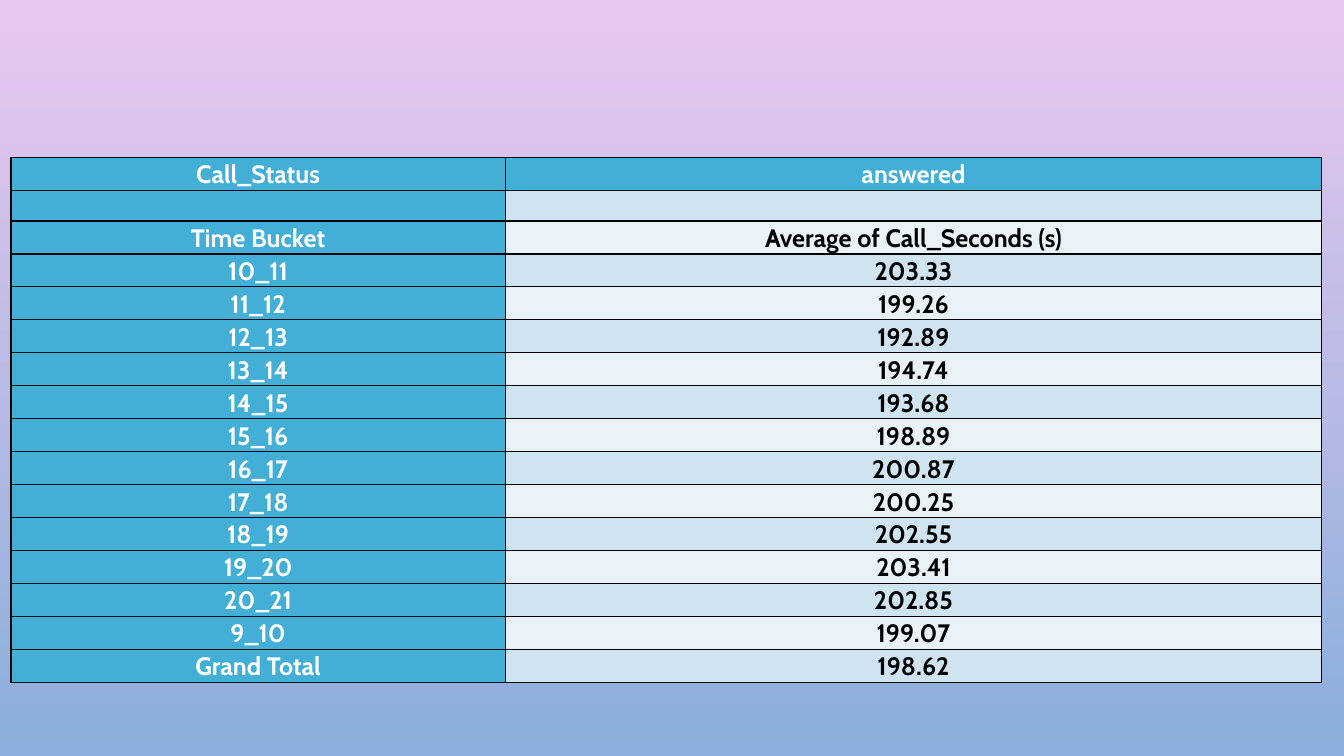
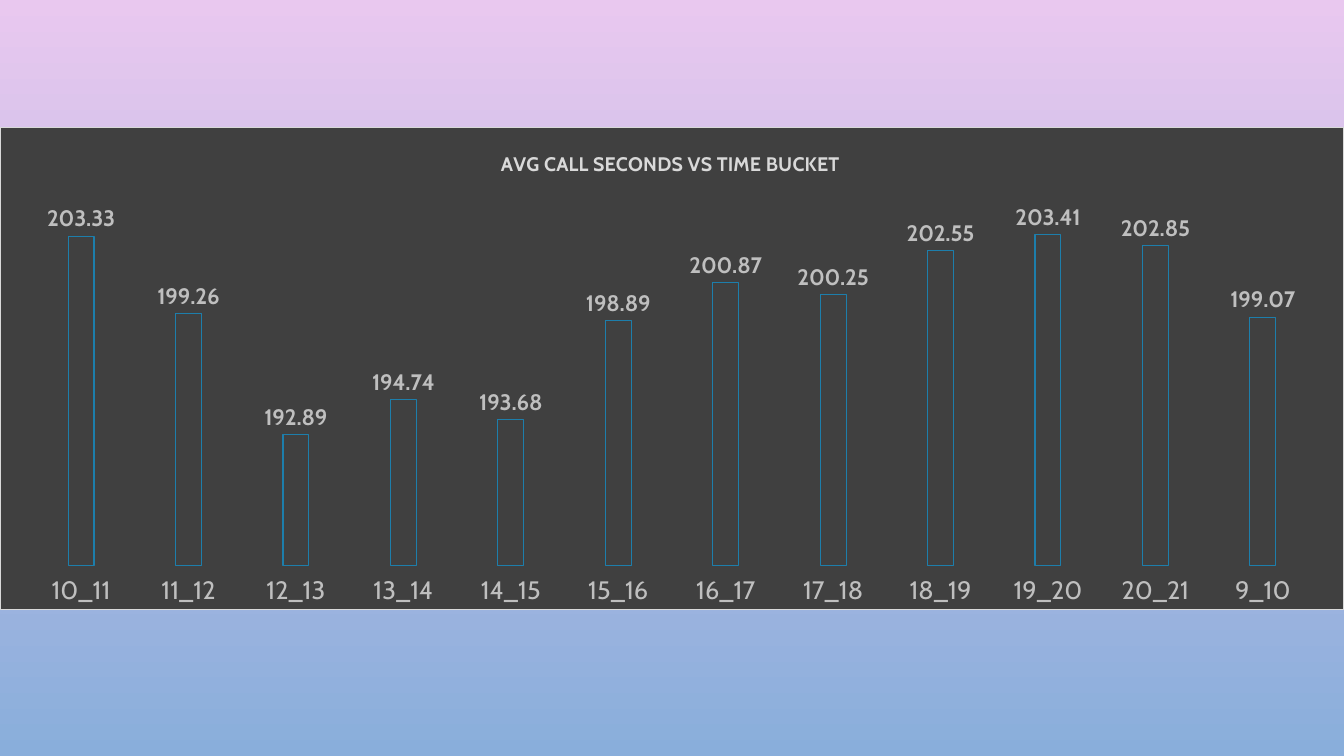
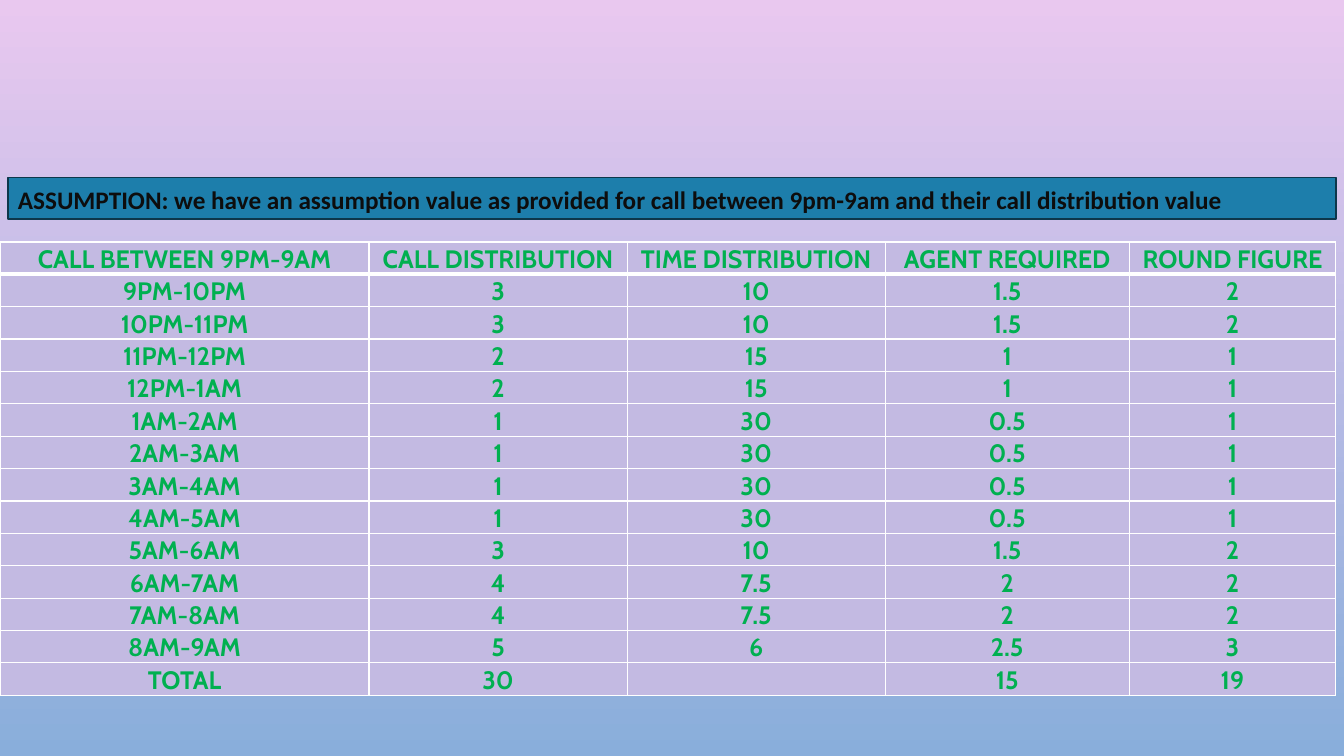
from dataclasses import dataclass

from pptx import Presentation
from pptx.chart.data import CategoryChartData
from pptx.dml.color import RGBColor
from pptx.enum.chart import XL_CHART_TYPE, XL_LABEL_POSITION, XL_TICK_LABEL_POSITION, XL_TICK_MARK
from pptx.enum.shapes import MSO_SHAPE
from pptx.enum.text import MSO_ANCHOR, MSO_AUTO_SIZE, PP_ALIGN
from pptx.oxml import parse_xml
from pptx.oxml.ns import nsdecls
from pptx.util import Inches, Pt

BUCKETS = [
    ("10_11", 203.33), ("11_12", 199.26), ("12_13", 192.89), ("13_14", 194.74),
    ("14_15", 193.68), ("15_16", 198.89), ("16_17", 200.87), ("17_18", 200.25),
    ("18_19", 202.55), ("19_20", 203.41), ("20_21", 202.85), ("9_10", 199.07),
]
AVERAGES = [
    ("Call_Status", "answered"),
    ("", ""),
    ("Time Bucket", "Average of Call_Seconds (s)"),
    *[(bucket, f"{seconds:.2f}") for bucket, seconds in BUCKETS],
    ("Grand Total", "198.62"),
]
CHART_TITLE = "AVG CALL SECONDS VS TIME BUCKET"
ASSUMPTION = (
    "ASSUMPTION: we have an assumption value as provided for call between "
    "9pm-9am and their call distribution value"
)
NIGHT_CALLS = [
    ("CALL BETWEEN 9PM-9AM", "CALL DISTRIBUTION", "TIME DISTRIBUTION", "AGENT REQUIRED", "ROUND FIGURE"),
    ("9PM-10PM", "3", "10", "1.5", "2"),
    ("10PM-11PM", "3", "10", "1.5", "2"),
    ("11PM-12PM", "2", "15", "1", "1"),
    ("12PM-1AM", "2", "15", "1", "1"),
    ("1AM-2AM", "1", "30", "0.5", "1"),
    ("2AM-3AM", "1", "30", "0.5", "1"),
    ("3AM-4AM", "1", "30", "0.5", "1"),
    ("4AM-5AM", "1", "30", "0.5", "1"),
    ("5AM-6AM", "3", "10", "1.5", "2"),
    ("6AM-7AM", "4", "7.5", "2", "2"),
    ("7AM-8AM", "4", "7.5", "2", "2"),
    ("8AM-9AM", "5", "6", "2.5", "3"),
    ("TOTAL", "30", "", "15", "19"),
]


@dataclass(frozen=True)
class Theme:
    sky: str = "E9C8EF"
    ground: str = "89AEDB"
    header: str = "43AFD6"
    band_dark: str = "CFE3F0"
    band_light: str = "E9F2F7"
    lilac: str = "C3BAE2"
    green: str = "00B050"
    blue: str = "1D7EAB"
    navy: str = "0D374B"
    panel: str = "404040"
    label: str = "BFBFBF"
    pale: str = "D9D9D9"
    ink: str = "0D0D0D"
    black: str = "000000"
    white: str = "FFFFFF"
    font: str = "Cabin"
    note_font: str = "Calibri"
    body: int = 18
    value: int = 16
    title: int = 14
    small: int = 10


T = Theme()


def rgb(color):
    return RGBColor.from_string(color)


def set_font(font, size, color, name=T.font, bold=False):
    font.size, font.name, font.bold = Pt(size), name, bold
    font.color.rgb = rgb(color)


def write(tf, text, color, name=T.font, align=PP_ALIGN.CENTER):
    p = tf.paragraphs[0]
    p.alignment = align
    p.line_spacing = 1.07
    p.space_after = Pt(8)
    r = p.add_run()
    r.text = text
    set_font(r.font, T.body, color, name, True)


def set_borders(cell, color, top=1, bottom=1):
    tc_pr = cell._tc.get_or_add_tcPr()
    for i, (side, width) in enumerate((("L", 1), ("R", 1), ("T", top), ("B", bottom))):
        tc_pr.insert(i, parse_xml(
            f'<a:ln{side} {nsdecls("a")} w="{Pt(width)}"><a:solidFill>'
            f'<a:srgbClr val="{color}"/></a:solidFill></a:ln{side}>'))


def add_grid(s, rows, left, top, widths, row_height, style, border, rule=1):
    table = s.shapes.add_table(
        len(rows), len(widths), Inches(left), Inches(top),
        Inches(sum(widths)), Inches(row_height * len(rows))).table
    table.first_row = table.horz_banding = False
    for column, width in zip(table.columns, widths):
        column.width = Inches(width)
    for i, row in enumerate(rows):
        for j, text in enumerate(row):
            cell = table.cell(i, j)
            fill, color = style(i, j)
            cell.fill.solid()
            cell.fill.fore_color.rgb = rgb(fill)
            set_borders(cell, border, rule if i == 1 else 1, rule if i == 0 else 1)
            cell.margin_left = cell.margin_right = Inches(0.07)
            cell.margin_top = cell.margin_bottom = 0
            cell.vertical_anchor = MSO_ANCHOR.BOTTOM
            if text:
                write(cell.text_frame, text, color)


def average_style(i, j):
    if i == 0 or j == 0:
        return T.header, T.white
    return (T.band_dark if i % 2 else T.band_light), T.black


def layout(x, y, w=None, h=None):
    target = '<c:layoutTarget val="inner"/>' if w else ""
    size = f'<c:w val="{w}"/><c:h val="{h}"/>' if w else ""
    return parse_xml(
        f'<c:layout {nsdecls("c")}><c:manualLayout>{target}<c:xMode val="edge"/>'
        f'<c:yMode val="edge"/><c:x val="{x}"/><c:y val="{y}"/>{size}'
        '</c:manualLayout></c:layout>')


def place(parent, new, after=None):
    for old in parent.xpath("c:layout"):
        parent.remove(old)
    if after is None:
        parent.insert(0, new)
    else:
        after.addnext(new)


def add_bucket_chart(s):
    data = CategoryChartData(number_format="0.00")
    data.categories = [bucket for bucket, _ in BUCKETS]
    data.add_series("Series 1", [seconds for _, seconds in BUCKETS])
    chart = s.shapes.add_chart(
        XL_CHART_TYPE.COLUMN_CLUSTERED, 0, Inches(1.26), Inches(13.33), Inches(4.79), data).chart
    set_font(chart.font, T.small, T.black)
    chart.has_legend = False
    chart.has_title = True
    tf = chart.chart_title.text_frame
    tf.text = CHART_TITLE
    set_font(tf.paragraphs[0].runs[0].font, T.title, T.pale, bold=True)

    axis = chart.category_axis
    axis.major_tick_mark = XL_TICK_MARK.NONE
    axis.tick_label_position = XL_TICK_LABEL_POSITION.LOW
    axis.format.line.fill.background()
    set_font(axis.tick_labels.font, T.body, T.label)
    axis = chart.value_axis
    axis.minimum_scale, axis.maximum_scale = 186, 206
    axis.has_major_gridlines = False
    axis.visible = False

    plot = chart.plots[0]
    plot.gap_width, plot.overlap = 315, -40
    plot.vary_by_categories = False
    series = plot.series[0]
    series.format.fill.background()
    series.format.line.color.rgb = rgb(T.blue)
    series.format.line.width = Pt(0.75)
    labels = series.data_labels
    labels.show_value = True
    labels.position = XL_LABEL_POSITION.OUTSIDE_END
    labels.number_format, labels.number_format_is_linked = "0.00", False
    set_font(labels.font, T.value, T.label, bold=True)

    root = chart.element.xpath("c:chart")[0]
    title = root.xpath("c:title")[0]
    place(title, layout(0.37, 0.04), title.xpath("c:tx")[0])
    place(root.xpath("c:plotArea")[0], layout(0.02, 0.12, 0.96, 0.79))
    root.addnext(parse_xml(
        f'<c:spPr {nsdecls("c", "a")}><a:solidFill><a:srgbClr val="{T.panel}"/></a:solidFill>'
        f'<a:ln w="{Pt(0.75)}"><a:solidFill><a:srgbClr val="{T.pale}"/></a:solidFill></a:ln></c:spPr>'))


def add_banner(s):
    sp = s.shapes.add_shape(
        MSO_SHAPE.RECTANGLE, Inches(0.08), Inches(1.76), Inches(13.17), Inches(0.41))
    sp.shadow.inherit = False
    sp.fill.solid()
    sp.fill.fore_color.rgb = rgb(T.blue)
    sp.line.color.rgb = rgb(T.navy)
    sp.line.width = Pt(1.25)
    tf = sp.text_frame
    tf.word_wrap = True
    tf.auto_size = MSO_AUTO_SIZE.SHAPE_TO_FIT_TEXT
    tf.vertical_anchor = MSO_ANCHOR.MIDDLE
    write(tf, ASSUMPTION, T.ink, T.note_font, PP_ALIGN.LEFT)


def main():
    prs = Presentation()
    prs.slide_width, prs.slide_height = Inches(13.33), Inches(7.5)
    fill = prs.slide_master.background.fill
    fill.gradient()
    fill.gradient_angle = 270
    for stop, color in zip(fill.gradient_stops, (T.sky, T.ground)):
        stop.color.rgb = rgb(color)

    averages, chart, night = [prs.slides.add_slide(prs.slide_layouts[6]) for _ in range(3)]
    add_grid(averages, AVERAGES, 0.11, 1.56, (4.9, 8.1), 0.29, average_style, T.black)
    add_bucket_chart(chart)
    add_banner(night)
    add_grid(night, NIGHT_CALLS, 0, 2.4, (3.66, 2.56, 2.56, 2.42, 2.05), 0.21,
             lambda i, j: (T.lilac, T.green), T.white, rule=3)
    prs.save("out.pptx")


if __name__ == "__main__":
    main()
